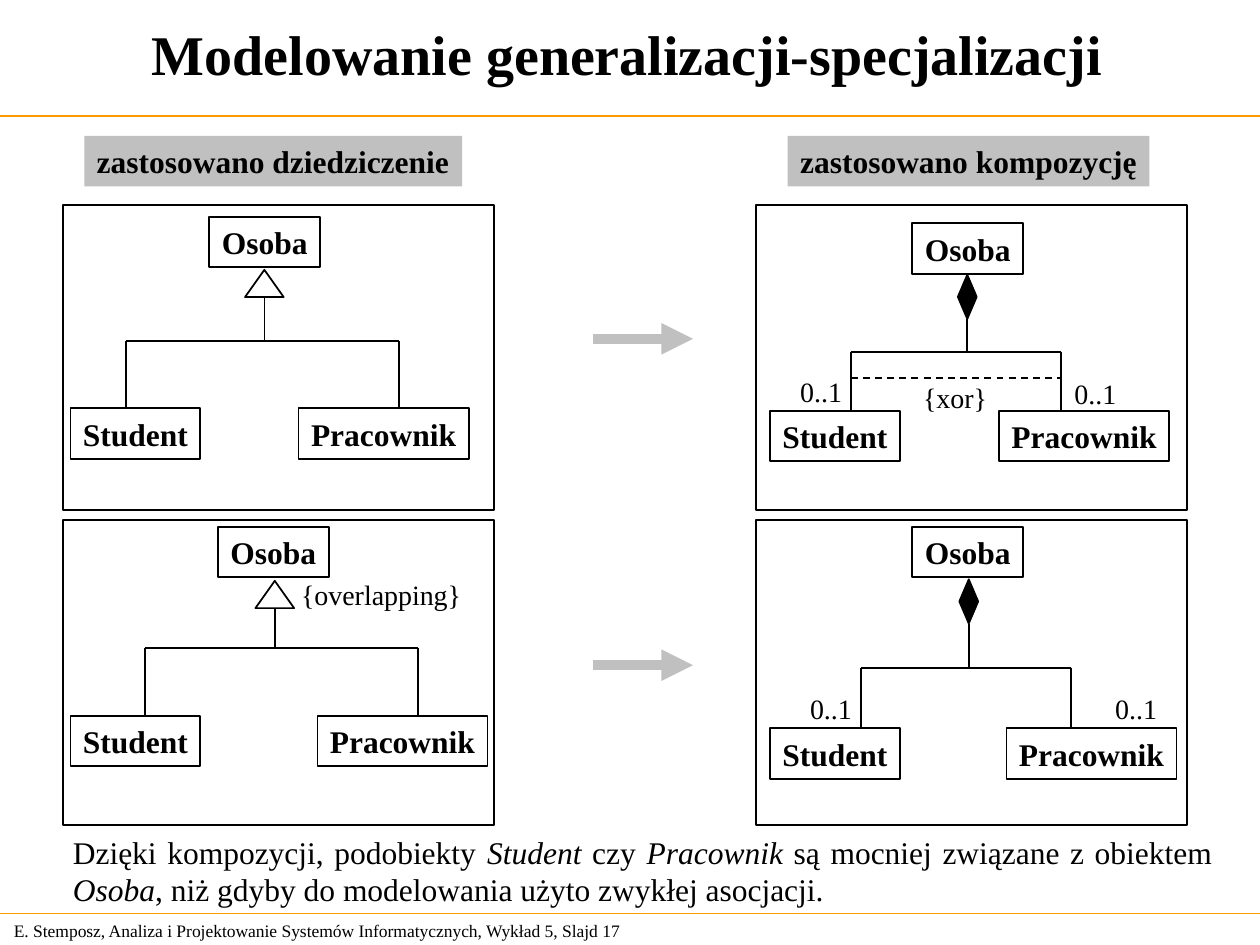
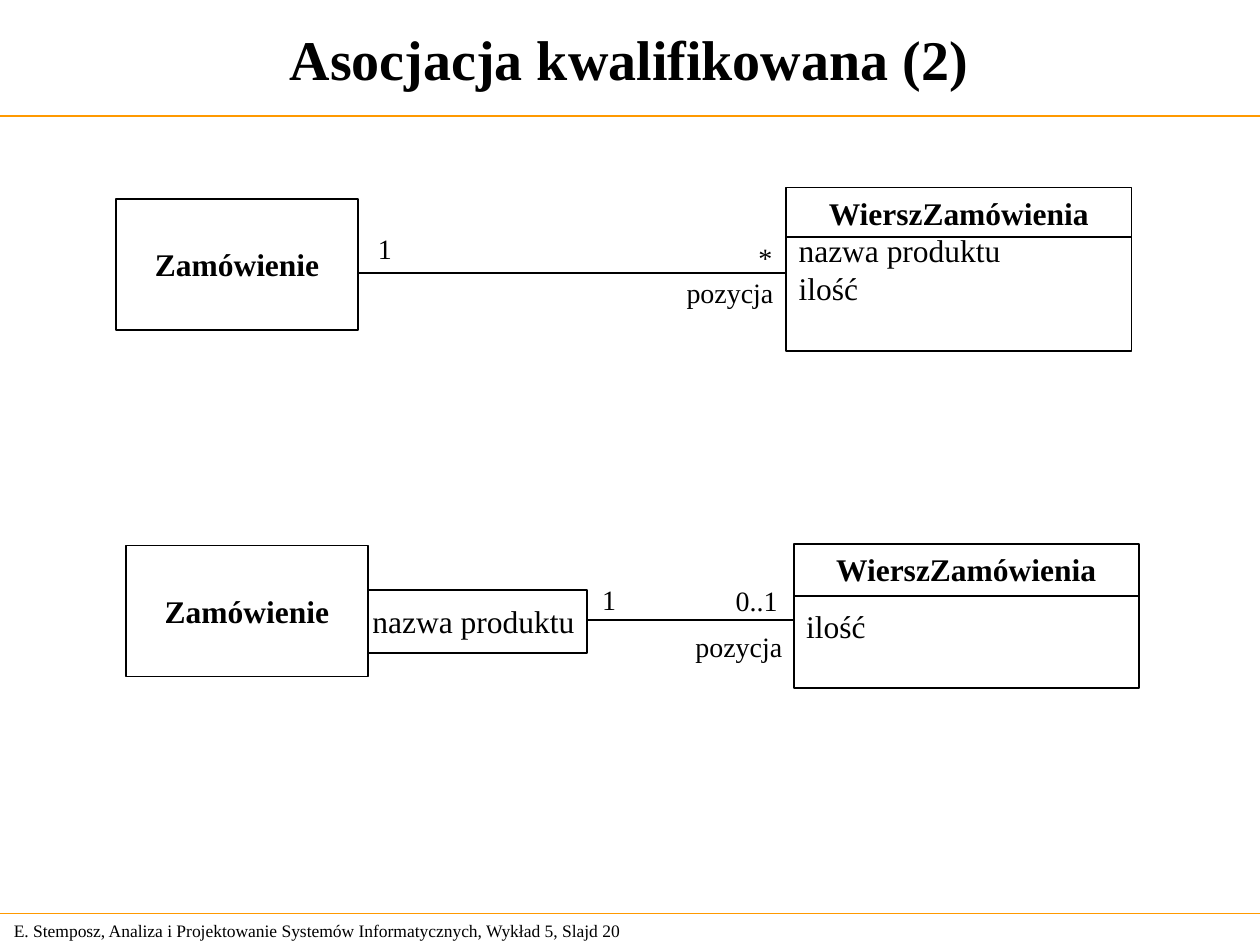
"""Build two lecture slides on UML: generalization versus composition, and qualified association."""
from pptx import Presentation
from pptx.dml.color import RGBColor
from pptx.enum.dml import MSO_LINE
from pptx.enum.shapes import MSO_CONNECTOR, MSO_SHAPE
from pptx.enum.text import MSO_ANCHOR, MSO_AUTO_SIZE, PP_ALIGN
from pptx.oxml.ns import qn
from pptx.util import Cm, Pt
from lxml import etree

BLACK = RGBColor(0x00, 0x00, 0x00)
WHITE = RGBColor(0xFF, 0xFF, 0xFF)
GREY = RGBColor(0xC0, 0xC0, 0xC0)
ORANGE = RGBColor(0xFF, 0x99, 0x00)

FONT = "Times New Roman"
TITLE = {"name": FONT, "size": Pt(32), "bold": True}
NAME = {"name": FONT, "size": Pt(18), "bold": True}
BODY = {"name": FONT, "size": Pt(18), "bold": False}
LABEL = {"name": FONT, "size": Pt(16), "bold": False}
FOOTER = {"name": FONT, "size": Pt(10), "bold": False}

LEFT, CENTER, JUSTIFY = PP_ALIGN.LEFT, PP_ALIGN.CENTER, PP_ALIGN.JUSTIFY
TOP, MIDDLE = MSO_ANCHOR.TOP, MSO_ANCHOR.MIDDLE
RECT = MSO_SHAPE.RECTANGLE


def box(sp, place, paras=(), fill=None, line=None, anchor=TOP, wrap=False, inset=None):
    """Place a shape and write (text, format, alignment, space before) paragraphs; _x_ is italic."""
    sp.left, sp.top, sp.width, sp.height = [Cm(v) for v in place]
    if not sp.is_placeholder:
        sp.shadow.inherit = False
        if fill is None:
            sp.fill.background()
        else:
            sp.fill.solid()
            sp.fill.fore_color.rgb = fill
        if line is None:
            sp.line.fill.background()
        else:
            sp.line.color.rgb = line
            sp.line.width = Pt(1)
    tf = sp.text_frame
    frame = {"word_wrap": wrap, "auto_size": MSO_AUTO_SIZE.NONE, "vertical_anchor": anchor}
    if inset is not None:
        frame.update(dict.fromkeys(
            ("margin_left", "margin_top", "margin_right", "margin_bottom"), Cm(inset)))
    for key, value in frame.items():
        setattr(tf, key, value)
    for i, (text, style, align, before) in enumerate(paras):
        p = tf.add_paragraph() if i else tf.paragraphs[0]
        p.alignment = align
        if before:
            p.space_before = Pt(before)
        for j, part in enumerate(text.split("_")):
            r = p.add_run()
            r.text = part
            for key, value in {**style, "italic": j % 2 == 1}.items():
                setattr(r.font, key, value)
            r.font.color.rgb = BLACK


def connect(s, x1, y1, x2, y2, color=BLACK, width=1, dash=None, arrow=False):
    """Draw a straight line, with an arrowhead at its end if wanted."""
    c = s.shapes.add_connector(MSO_CONNECTOR.STRAIGHT, Cm(x1), Cm(y1), Cm(x2), Cm(y2))
    c.line.color.rgb = color
    c.line.width = Pt(width)
    if dash:
        c.line.dash_style = dash
    if arrow:
        etree.SubElement(c.line._get_or_add_ln(), qn("a:tailEnd"), type="triangle")
    etree.SubElement(c._element.spPr, qn("a:effectLst"))


prs = Presentation()
prs.slide_width, prs.slide_height = Cm(25.4), Cm(19.05)

slides = []
for title, number, width, height in [
    ("Modelowanie generalizacji-specjalizacji", 17, 25.3, 2.16),
    ("Asocjacja kwalifikowana (2)", 20, 25.37, 2.34),
]:
    s = prs.slides.add_slide(prs.slide_layouts[5])
    for y in (2.34, 18.42):
        connect(s, 0, y, 25.4, y, ORANGE, 0.75)
    footer = f"E. Stemposz, Analiza i Projektowanie Systemów Informatycznych, Wykład 5, Slajd {number}"
    box(s.shapes.add_textbox(0, 0, 0, 0), (0.03, 18.42, 13.31, 0.69),
        [(footer, FOOTER, LEFT, 0)], anchor=MIDDLE, wrap=True)
    box(s.shapes.title, (0, 0, width, height), [(title, TITLE, CENTER, 0)],
        anchor=MIDDLE, wrap=True)
    slides.append(s)
inheritance, association = slides

s = inheritance
for x, width, text in [
    (1.7, 7.62, "zastosowano dziedziczenie"),
    (15.88, 7.29, "zastosowano kompozycję"),
]:
    box(s.shapes.add_shape(RECT, 0, 0, 0, 0), (x, 2.74, width, 1.02),
        [(text, NAME, LEFT, 0)], fill=GREY)

TRIANGLE = (MSO_SHAPE.ISOSCELES_TRIANGLE, 0.78, 0.55, None)
DIAMOND = (MSO_SHAPE.DIAMOND, 0.38, 0.89, BLACK)
diagrams = [
    (1.27, 4.14, TRIANGLE, 5.33, 5.44, (4.22, 4.37), (1.42, 6.02), 8.23, 6.88, (2.54, 8.05)),
    (1.27, 10.49, TRIANGLE, 5.54, 11.71, (4.39, 10.62), (1.42, 6.4), 14.43, 13.06, (2.92, 8.43)),
    (15.24, 4.14, DIAMOND, 19.5, 5.54, (18.39, 4.5), (15.52, 20.14), 8.28, 7.09, (17.15, 21.39)),
    (15.24, 10.49, DIAMOND, 19.53, 11.68, (18.39, 10.62), (15.52, 20.29), 14.68, 13.46,
     (17.36, 21.59)),
]
for left, top, symbol, stem_x, symbol_y, person, children, child_y, bar_y, ends in diagrams:
    box(s.shapes.add_shape(RECT, 0, 0, 0, 0), (left, top, 8.69, 6.15), line=BLACK)
    for text, x, y, width in [
        ("Osoba", *person, 2.24),
        ("Student", children[0], child_y, 2.62),
        ("Pracownik", children[1], child_y, 3.43),
    ]:
        box(s.shapes.add_shape(RECT, 0, 0, 0, 0), (x, y, width, 1.02),
            [(text, NAME, CENTER, 0)], line=BLACK, anchor=MIDDLE)
    kind, width, height, fill = symbol
    box(s.shapes.add_shape(kind, 0, 0, 0, 0), (stem_x - width / 2, symbol_y, width, height),
        fill=fill, line=BLACK)
    connect(s, stem_x, symbol_y + height, stem_x, bar_y)
    connect(s, ends[0], bar_y, ends[1], bar_y)
    for x in ends:
        connect(s, x, bar_y, x, child_y)

connect(s, 17.15, 7.62, 21.39, 7.62, dash=MSO_LINE.DASH)
for y in (6.83, 13.41):
    connect(s, 11.96, y, 13.97, y, GREY, 6, arrow=True)
for text, x, y, width in [
    ("{overlapping}", 5.82, 11.51, 3.73),
    ("{xor}", 18.36, 7.54, 1.8),
    ("0..1", 15.88, 7.42, 1.35),
    ("0..1", 21.41, 7.47, 1.35),
    ("0..1", 16.08, 13.82, 1.35),
    ("0..1", 22.23, 13.82, 1.35),
]:
    box(s.shapes.add_textbox(0, 0, 0, 0), (x, y, width, 0.94), [(text, LABEL, LEFT, 0)])

conclusion = ("Dzięki kompozycji, podobiekty _Student_ czy _Pracownik_ są mocniej związane z obiektem "
              "_Osoba_, niż gdyby do modelowania użyto zwykłej asocjacji.")
box(s.shapes.add_textbox(0, 0, 0, 0), (1.22, 16.66, 23.47, 1.78),
    [(conclusion, BODY, JUSTIFY, 0)], wrap=True)

s = association
box(s.shapes.add_shape(RECT, 0, 0, 0, 0), (7.26, 11.89, 4.57, 1.27),
    [("nazwa produktu", BODY, LEFT, 0)], line=BLACK, anchor=MIDDLE)
for x, y, fill in [(2.34, 4.01, None), (2.54, 11, WHITE)]:
    box(s.shapes.add_shape(RECT, 0, 0, 0, 0), (x, y, 4.88, 2.64),
        [("Zamówienie", NAME, CENTER, 0)], fill=fill, line=BLACK, anchor=MIDDLE, wrap=True)
for x, y, height, divider_y, attributes in [
    (15.85, 3.78, 3.3, 4.78, [("nazwa produktu", BODY, LEFT, 0), ("ilość", BODY, LEFT, 0)]),
    (16, 10.97, 2.9, 12.01, [("ilość", BODY, LEFT, 11)]),
]:
    box(s.shapes.add_shape(RECT, 0, 0, 0, 0), (x, y, 6.96, height),
        [("WierszZamówienia", NAME, CENTER, 0), *attributes], line=BLACK, wrap=True)
    connect(s, x, divider_y, x + 6.96, divider_y)

connect(s, 7.2, 5.51, 15.86, 5.51)
connect(s, 11.85, 12.5, 16, 12.5)
for text, x, y, width in [
    ("1", 7.37, 4.55, 0.79),
    ("*", 15.04, 4.72, 0.79),
    ("1", 11.89, 11.61, 0.79),
    ("0..1", 14.58, 11.63, 1.35),
]:
    box(s.shapes.add_textbox(0, 0, 0, 0), (x, y, width, 0.94), [(text, LABEL, LEFT, 0)])
for x, y in [(13.84, 5.56), (14.02, 12.7)]:
    box(s.shapes.add_textbox(0, 0, 0, 0), (x, y, 1.75, 0.69),
        [("pozycja", LABEL, LEFT, 0)], inset=0)

prs.save("out.pptx")
